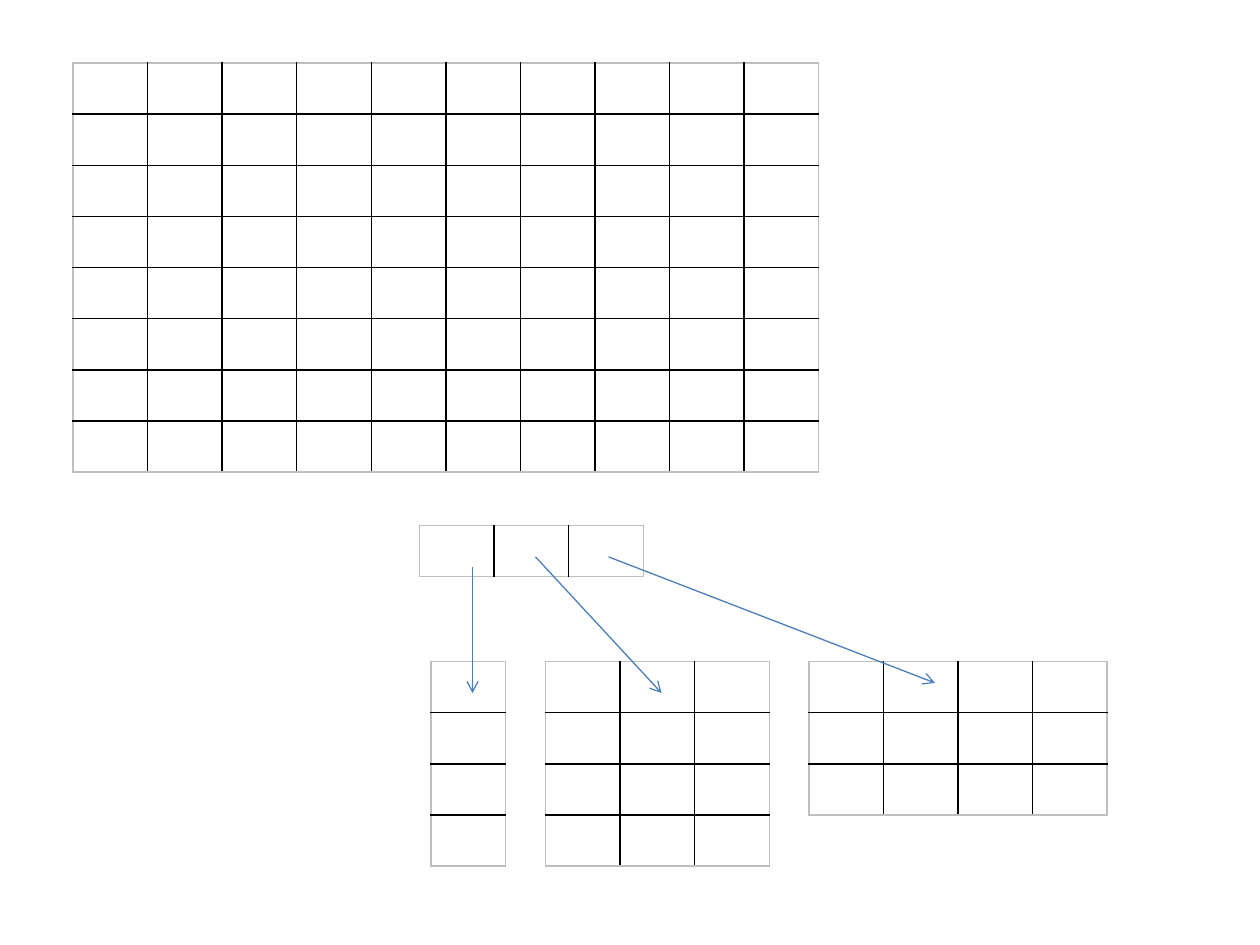
from lxml.etree import SubElement
from pptx import Presentation
from pptx.dml.color import RGBColor
from pptx.enum.shapes import MSO_CONNECTOR
from pptx.oxml.ns import qn
from pptx.util import Inches, Pt

COLORS = {"inner": "000000", "outer": "BFBFBF", "arrow": "4B7EBC"}
COLUMN_WIDTH = 5.92 / 10
ROW_HEIGHT = 3.25 / 8

# left, top, columns, rows
MAIN_GRID = (0.58, 0.5, 10, 8)
INDEX_ROW = (3.33, 4.17, 3, 1)
DETAIL_GRIDS = [(3.42, 5.25, 1, 4), (4.33, 5.25, 3, 4), (6.42, 5.25, 4, 3)]

# start point, end point
ARROWS = [
    ((3.75, 4.5), (3.75, 5.5)),
    ((4.25, 4.42), (5.25, 5.5)),
    ((4.83, 4.42), (7.42, 5.42)),
]


class GridSlide:
    """Hold the slide and the style of its grids and arrows."""

    def __init__(self, presentation):
        """Add a blank slide to the presentation."""
        self.slide = presentation.slides.add_slide(presentation.slide_layouts[6])
        self.border_width = Pt(1)
        self.arrow_width = Pt(0.75)

    def add_border(self, cell, side, color):
        """Draw one side of a cell."""
        properties = cell._tc.get_or_add_tcPr()
        border = SubElement(properties, qn(f"a:ln{side}"), w=str(self.border_width))
        fill = SubElement(border, qn("a:solidFill"))
        SubElement(fill, qn("a:srgbClr"), val=COLORS[color])

    def add_grid(self, left, top, columns, rows):
        """Add an empty table with black inner and grey outer borders."""
        table = self.slide.shapes.add_table(
            rows, columns, Inches(left), Inches(top),
            Inches(columns * COLUMN_WIDTH), Inches(rows * ROW_HEIGHT),
        ).table
        table.first_row = table.horz_banding = False
        for row in range(rows):
            for column in range(columns):
                cell = table.cell(row, column)
                on_edge = {
                    "L": column == 0,
                    "R": column == columns - 1,
                    "T": row == 0,
                    "B": row == rows - 1,
                }
                for side, outer in on_edge.items():
                    self.add_border(cell, side, "outer" if outer else "inner")
                cell.fill.background()

    def add_arrow(self, start, end):
        """Add a straight line with an open arrowhead at its end."""
        points = [Inches(value) for value in (*start, *end)]
        arrow = self.slide.shapes.add_connector(MSO_CONNECTOR.STRAIGHT, *points)
        arrow.line.color.rgb = RGBColor.from_string(COLORS["arrow"])
        arrow.line.width = self.arrow_width
        SubElement(arrow.line._get_or_add_ln(), qn("a:tailEnd"), type="arrow")
        SubElement(arrow._element.spPr, qn("a:effectLst"))


def main():
    """Build the slide and save it."""
    presentation = Presentation()
    presentation.slide_width = Inches(10)
    presentation.slide_height = Inches(7.5)
    slide = GridSlide(presentation)
    for grid in (MAIN_GRID, INDEX_ROW, *DETAIL_GRIDS):
        slide.add_grid(*grid)
    for start, end in ARROWS:
        slide.add_arrow(start, end)
    presentation.save("out.pptx")


main()
